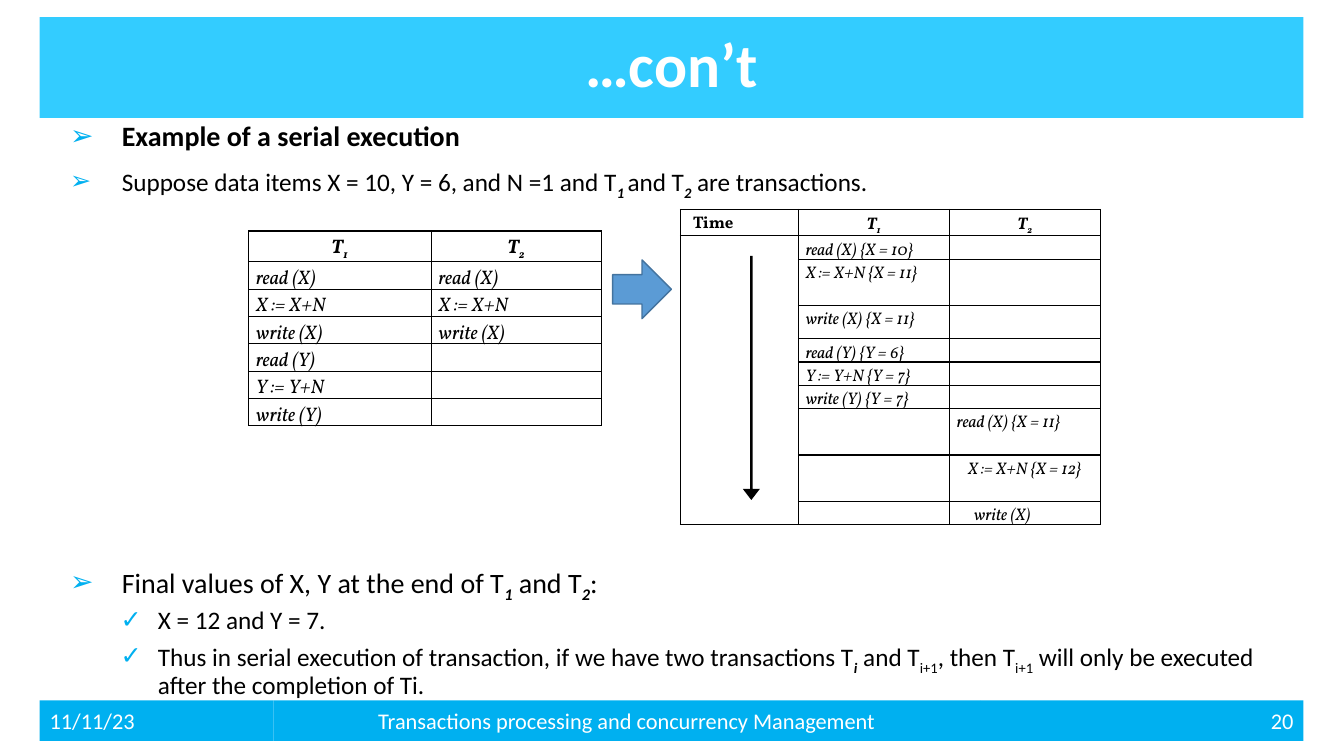
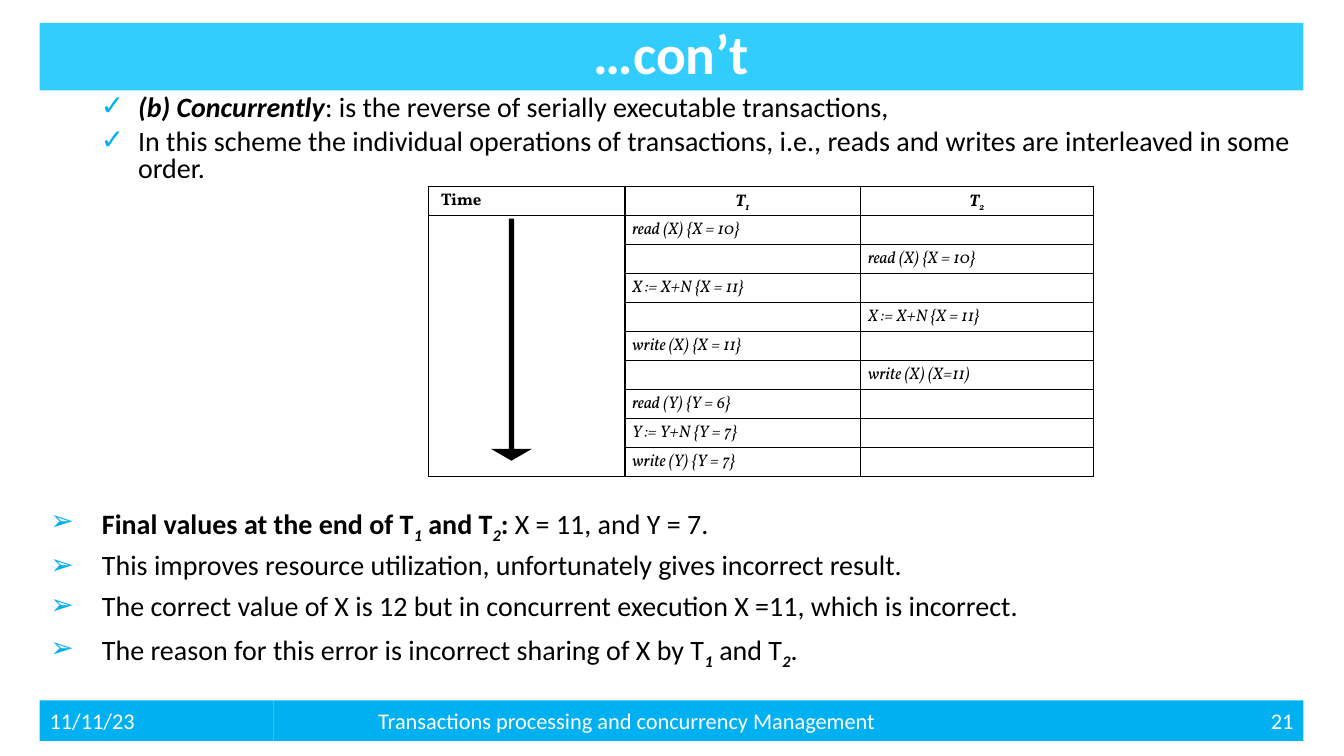
import pptx
import pptx.dml.color
import pptx.enum.shapes
import pptx.enum.text
import pptx.oxml.ns
import pptx.util
from lxml import etree

Cm = pptx.util.Cm
Pt = pptx.util.Pt
ALIGN = pptx.enum.text.PP_ALIGN
ANCHOR = pptx.enum.text.MSO_ANCHOR
SHAPES = pptx.enum.shapes.MSO_SHAPE

BLACK, WHITE = "000000", "FFFFFF"
TITLE_BLUE, FOOTER_BLUE = "33CCFF", "00B0F0"
ARROW_FILL, ARROW_LINE = "5B9BD5", "43739E"
BODY_FONT, TABLE_FONT = "Calibri", "Vollkorn"
MARGIN, BAND_WIDTH = 1, 31.85
FOOTER_TOP, FOOTER_HEIGHT = 17.65, 1.02
POINT = {"bullet": "➢", "indent": 1.3, "hanging": 1.3, "space_before": 10}
CHECK = {"bullet": "✓", "indent": 2.21, "hanging": 0.94, "space_before": 5}
T1_HEADER = [("T", "bi"), ("1", "bis")]
T2_HEADER = [("T", "bi"), ("2", "bis")]


def color(hex_string):
    return pptx.dml.color.RGBColor.from_string(hex_string)


def add_element(parent, tag, **attributes):
    element = etree.SubElement(parent, pptx.oxml.ns.qn(tag))
    for name, value in attributes.items():
        element.set(name, str(value))
    return element


def write(paragraph, runs, size=18, font=BODY_FONT, fill=BLACK, align=ALIGN.LEFT,
          spacing=1, space_before=0, indent=0, hanging=0, bullet=None):
    paragraph.alignment = align
    paragraph.line_spacing = spacing
    paragraph.space_before = Pt(space_before)
    properties = paragraph._p.get_or_add_pPr()
    properties.set("marL", str(Cm(indent)))
    properties.set("indent", str(-Cm(hanging)))
    if bullet:
        bullet_color = add_element(properties, "a:buClr")
        add_element(bullet_color, "a:srgbClr", val=FOOTER_BLUE)
        add_element(properties, "a:buFont", typeface="Arial")
        add_element(properties, "a:buChar", char=bullet)
    for text, flags in runs:
        run = paragraph.add_run()
        run.text = text
        run.font.size = Pt(size)
        run.font.name = font
        run.font.color.rgb = color(fill)
        run.font.bold = "b" in flags
        run.font.italic = "i" in flags
        if "s" in flags:
            run.font._element.set("baseline", "-25000")


def add_preset(slide, kind, box, fill, line=None):
    shape = slide.shapes.add_shape(kind, *map(Cm, box))
    shape.shadow.inherit = False
    shape.fill.solid()
    shape.fill.fore_color.rgb = color(fill)
    if line:
        shape.line.color.rgb = color(line)
        shape.line.width = Pt(1)
    else:
        shape.line.fill.background()
    return shape


def add_band(slide, box, fill, text, flags="", **text_format):
    frame = add_preset(slide, SHAPES.RECTANGLE, box, fill).text_frame
    frame.word_wrap = True
    frame.vertical_anchor = ANCHOR.MIDDLE
    write(frame.paragraphs[0], [(text, flags)], fill=WHITE, **text_format)


def add_title(slide, top, height, size):
    add_band(slide, (MARGIN, top, BAND_WIDTH, height), TITLE_BLUE, "…con’t", "b",
             size=size, align=ALIGN.CENTER, spacing=0.9)


def add_footer(slide, number):
    left = MARGIN
    parts = [("11/11/23", 5.89, ALIGN.LEFT),
             ("Transactions processing and concurrency Management", 17.81, ALIGN.CENTER),
             (str(number), 8.15, ALIGN.RIGHT)]
    for text, width, align in parts:
        add_band(slide, (left, FOOTER_TOP, width, FOOTER_HEIGHT), FOOTER_BLUE, text,
                 size=16, align=align)
        left += width


def add_body(slide, box, spacing, items):
    frame = slide.shapes.add_textbox(*map(Cm, box)).text_frame
    frame.word_wrap = True
    for index, (level, size, runs) in enumerate(items):
        paragraph = frame.add_paragraph() if index else frame.paragraphs[0]
        layout = level if index else {**level, "space_before": 0}
        write(paragraph, runs, size=size, spacing=spacing, **layout)


def format_cell(cell, size, runs=(), **text_format):
    cell.margin_left, cell.margin_right = Cm(0.18), Cm(0.2)
    cell.margin_top = cell.margin_bottom = 0
    properties = cell._tc.get_or_add_tcPr()
    for side in ("a:lnL", "a:lnR", "a:lnT", "a:lnB"):
        line = add_element(properties, side, w=Pt(1))
        add_element(add_element(line, "a:solidFill"), "a:srgbClr", val=BLACK)
    cell.fill.background()
    paragraph = cell.text_frame.paragraphs[0]
    write(paragraph, runs, size=size, font=TABLE_FONT, spacing=1.15, **text_format)
    if not runs:
        paragraph._p.get_or_add_endParaRPr().set("sz", str(size * 100))


def add_grid(slide, left, top, widths, heights, size, cells):
    frame = slide.shapes.add_table(len(heights), len(widths), Cm(left), Cm(top),
                                   Cm(sum(widths)), Cm(sum(heights)))
    table = frame.table
    table.first_row = table.horz_banding = False
    for column, width in zip(table.columns, widths):
        column.width = Cm(width)
    for row, height in zip(table.rows, heights):
        row.height = Cm(height)
    for row in range(len(heights)):
        for column in range(len(widths)):
            format_cell(table.cell(row, column), size, **cells.get((row, column), {}))
    return table


def add_programs(slide, left, top):
    steps = ["read (X)", "X := X+N", "write (X)", "read (Y)", "Y := Y+N", "write (Y)"]
    cells = {(0, 0): {"runs": T1_HEADER, "align": ALIGN.CENTER},
             (0, 1): {"runs": T2_HEADER, "align": ALIGN.CENTER}}
    for column, count in enumerate((6, 3)):
        for row, step in enumerate(steps[:count], 1):
            cells[row, column] = {"runs": [(step, "i")]}
    add_grid(slide, left, top, [4.6, 4.29], [0.69] * 7, 14, cells)


def add_time_arrow(slide, left, top, width, height, stem, head):
    center, neck = left + width / 2, top + height - head
    points = [(center - stem / 2, top), (center + stem / 2, top),
              (center + stem / 2, neck), (left + width, neck),
              (center, top + height), (left, neck), (center - stem / 2, neck)]
    points = [(Cm(x), Cm(y)) for x, y in points]
    builder = slide.shapes.build_freeform(*points[0])
    builder.add_line_segments(points[1:], close=True)
    shape = builder.convert_to_shape()
    shape.shadow.inherit = False
    shape.fill.solid()
    shape.fill.fore_color.rgb = color(BLACK)
    shape.line.fill.background()


def add_schedule(slide, left, top, widths, heights, steps, arrow):
    cells = {(0, 0): {"runs": [("Time", "b")], "indent": 0.13},
             (0, 1): {"runs": T1_HEADER, "align": ALIGN.CENTER},
             (0, 2): {"runs": T2_HEADER, "align": ALIGN.CENTER}}
    for row, (column, step, text_format) in enumerate(steps, 1):
        cells[row, column] = {"runs": [(step, "i")], **text_format}
    table = add_grid(slide, left, top, widths, heights, 12, cells)
    table.cell(1, 0).merge(table.cell(len(steps), 0))
    x, y, *sizes = arrow
    add_time_arrow(slide, left + x, top + y, *sizes)


def add_serial_slide(presentation):
    slide = presentation.slides.add_slide(presentation.slide_layouts[6])
    add_title(slide, 0.43, 2.54, 44)
    add_body(slide, (1.52, 2.97, 31.34, 2.2), 0.9, [
        (POINT, 20, [("Example of a serial execution", "b")]),
        (POINT, 18, [("Suppose data items X = 10, Y = 6, and N =1 and T", ""), ("1 ", "bis"),
                     ("and T", ""), ("2", "bis"), (" are transactions.", "")]),
    ])
    add_body(slide, (1.52, 14.15, 31.34, 3.5), 0.9, [
        (POINT, 20, [("Final values of X, Y at the end of T", ""), ("1", "bis"),
                     (" and T", ""), ("2", "bis"), (":", "")]),
        (CHECK, 18, [("X = 12 and Y = 7.", "")]),
        (CHECK, 18, [("Thus in serial execution of transaction, if we have two "
                      "transactions T", ""), ("i", "bis"), (" and T", ""), ("i+1", "s"),
                     (", then T", ""), ("i+1", "s"),
                     (" will only be executed after the completion of Ti.", "")]),
    ])
    add_programs(slide, 6.27, 5.82)
    add_schedule(slide, 17.15, 5.28, [2.97, 3.81, 3.81],
                 [0.58, 0.58, 1.17, 0.84, 0.58, 0.58, 0.58, 1.17, 1.17, 0.58], [
                     (1, "read (X) {X = 10}", {}),
                     (1, "X := X+N {X = 11}", {}),
                     (1, "write (X) {X = 11}", {}),
                     (1, "read (Y) {Y = 6}", {}),
                     (1, "Y := Y+N {Y = 7}", {}),
                     (1, "write (Y) {Y = 7}", {}),
                     (2, "read (X) {X = 11}", {}),
                     (2, "X := X+N {X = 12}", {"align": ALIGN.CENTER}),
                     (2, "write (X)", {"indent": 0.43}),
                 ], (1.57, 1.17, 0.43, 6.15, 0.06, 0.28))
    add_preset(slide, SHAPES.RIGHT_ARROW, (15.44, 6.55, 1.48, 1.48), ARROW_FILL, ARROW_LINE)
    add_footer(slide, 20)


def add_concurrent_slide(presentation):
    slide = presentation.slides.add_slide(presentation.slide_layouts[6])
    add_title(slide, 0.58, 1.7, 39.6)
    add_body(slide, (1.02, 2.29, 31.85, 2.4), 0.8, [
        (CHECK, 20, [("(b) Concurrently", "bi"),
                     (": is the reverse of serially executable transactions,", "")]),
        (CHECK, 20, [("In this scheme the individual operations of transactions, i.e., "
                      "reads and writes are interleaved in some order.", "")]),
    ])
    add_body(slide, (1.02, 12.72, 31.85, 4.5), 0.8, [
        (POINT, 20, [("Final values at the end of T", "b"), ("1", "bis"), (" and T", "b"),
                     ("2", "bis"), (":", "b"), (" X = 11, and Y = 7.", "")]),
        (POINT, 20, [("This improves resource utilization, unfortunately gives "
                      "incorrect result.", "")]),
        (POINT, 20, [("The correct value of X is 12 but in concurrent execution X =11, "
                      "which is incorrect.", "")]),
        (POINT, 20, [("The reason for this error is incorrect sharing of X by T", ""),
                     ("1", "bis"), (" and T", ""), ("2", "bis"), (".", "")]),
    ])
    add_schedule(slide, 10.8, 4.7, [4.95, 5.94, 5.87], [0.73] * 10, [
        (1, "read (X) {X = 10}", {}),
        (2, "read (X) {X = 10}", {}),
        (1, "X := X+N {X = 11}", {}),
        (2, "X := X+N {X = 11}", {}),
        (1, "write (X) {X = 11}", {}),
        (2, "write (X) (X=11)", {}),
        (1, "read (Y) {Y = 6}", {}),
        (1, "Y := Y+N {Y = 7}", {}),
        (1, "write (Y) {Y = 7}", {}),
    ], (1.57, 0.81, 1.04, 6.1, 0.13, 0.3))
    add_footer(slide, 21)


def main():
    presentation = pptx.Presentation()
    presentation.slide_width, presentation.slide_height = Cm(33.87), Cm(19.05)
    add_serial_slide(presentation)
    add_concurrent_slide(presentation)
    presentation.save("out.pptx")


if __name__ == "__main__":
    main()
